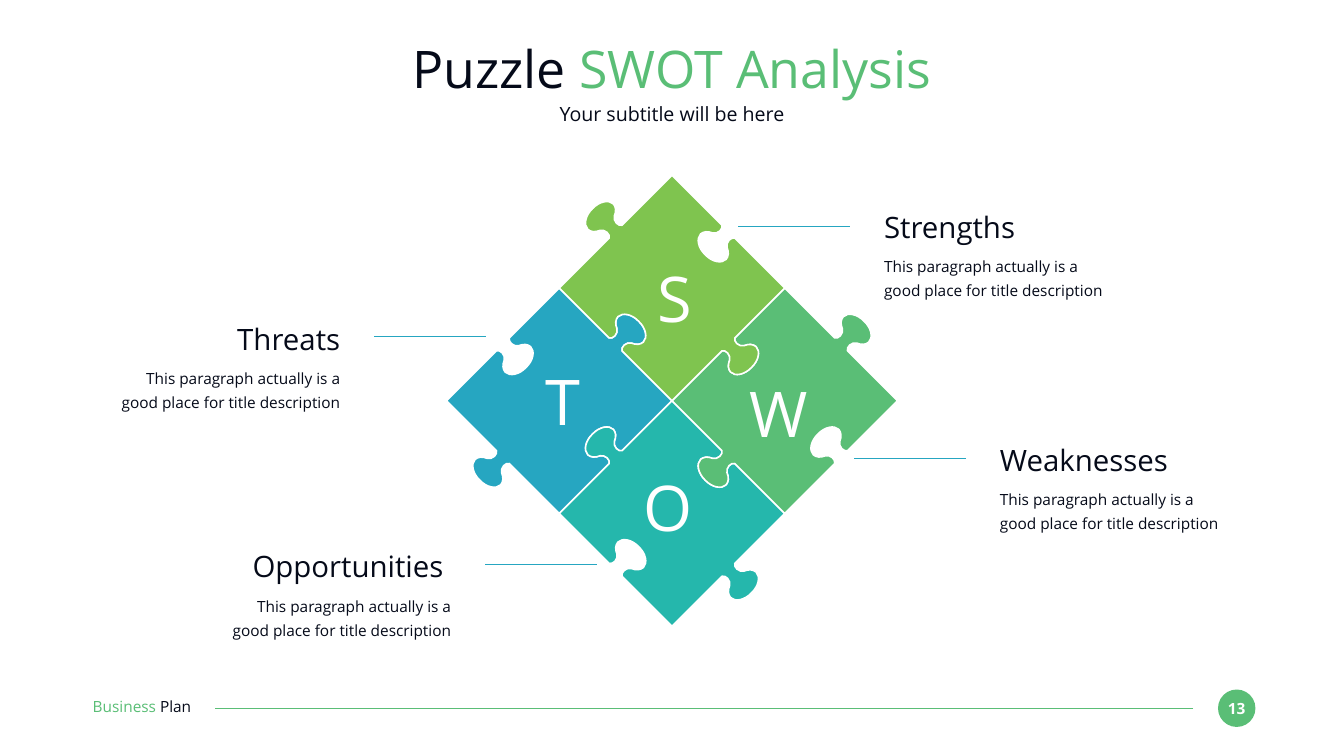
from dataclasses import dataclass

from lxml import etree
from pptx import Presentation
from pptx.dml.color import RGBColor
from pptx.enum.shapes import MSO_CONNECTOR, MSO_SHAPE
from pptx.enum.text import MSO_ANCHOR, PP_ALIGN
from pptx.oxml.ns import qn
from pptx.util import Pt

STRAIGHT = MSO_CONNECTOR.STRAIGHT
OVAL = MSO_SHAPE.OVAL
TOP, MIDDLE = MSO_ANCHOR.TOP, MSO_ANCHOR.MIDDLE
LEFT, CENTER, RIGHT = PP_ALIGN.LEFT, PP_ALIGN.CENTER, PP_ALIGN.RIGHT


@dataclass(frozen=True)
class Theme:
    font: str = "Open Sans"
    ink: str = "050A19"
    white: str = "FFFFFF"
    green: str = "5ABE76"
    lime: str = "7FC44F"
    teal: str = "25B7AC"
    blue: str = "26A6C1"
    title: int = 74
    sub: int = 28
    head: int = 42
    body: int = 22
    letter: int = 90


THEME = Theme()
BLURB = "This paragraph actually is a good place for title description"

# Half a tab as cubic points (along the edge, outward); the rest mirrors it.
HALF = [(-9.2, 0), (-7.7, 0.9), (-6.3, 3), (-6.6, 5.6), (-6.6, 8.5),
        (-8.4, 11), (-10.2, 12.1), (-15.3, 14.2), (-17.8, 17.5),
        (-18.2, 21.4), (-18.2, 27.9), (-9.9, 33.3), (0, 33)]
TAB = HALF + [(-u, v) for u, v in reversed(HALF[:-1])]
SIDES = [(0, -1), (-1, 0), (0, 1), (1, 0)]


def color(code):
    return RGBColor.from_string(code)


def fill_frame(frame, parts, size, align=LEFT, bold=False, space=None,
               anchor=TOP):
    """Write one paragraph from (text, colour) parts."""
    frame.margin_left = frame.margin_right = 0
    frame.margin_top = frame.margin_bottom = 0
    frame.word_wrap = True
    frame.vertical_anchor = anchor
    para = frame.paragraphs[0]
    para.alignment = align
    if space:
        para.line_spacing = space
    para.font.name = THEME.font
    para.font.size = Pt(size)
    para.font.bold = bold
    for text, code in parts:
        run = para.add_run()
        run.text = text
        if len(parts) > 1:
            run.font.color.rgb = color(code)
    if len(parts) == 1:
        para.font.color.rgb = color(parts[0][1])


def add_text(slide, box, parts, size, **style):
    shape = slide.shapes.add_textbox(*map(Pt, box))
    fill_frame(shape.text_frame, parts, size, **style)


def add_rule(slide, left, right, y, code):
    line = slide.shapes.add_connector(
        STRAIGHT, Pt(right), Pt(y), Pt(left), Pt(y))
    line.line.color.rgb = color(code)
    line.line.width = Pt(1.5)
    etree.SubElement(line._element.spPr, qn("a:effectLst"))


def bend_tabs(piece):
    """Join each three line steps of a tab into one cubic curve."""
    steps = list(piece._element.iter(qn("a:lnTo")))
    side = len(TAB) + 1
    for start in range(0, len(steps), side):
        for i in range(start + 1, start + len(TAB), 3):
            curve = etree.Element(qn("a:cubicBezTo"))
            steps[i].addprevious(curve)
            for step in steps[i:i + 3]:
                curve.append(step[0])
                step.getparent().remove(step)


def add_piece(slide, x, y, radius, code, sign):
    """Draw a diamond; sign 1 puts the first side's tab outward, -1 inward."""
    points = []
    for i, (ax, ay) in enumerate(SIDES):
        bx, by = SIDES[(i + 1) % 4]
        nx, ny = ax + bx, ay + by
        points.append((x + radius * ax, y + radius * ay))
        out = sign * (-1) ** i
        for u, v in TAB:
            reach = radius / 2 + out * v
            points.append((x + nx * reach + (bx - ax) * u,
                           y + ny * reach + (by - ay) * u))
    points = [(Pt(px), Pt(py)) for px, py in points]
    path = slide.shapes.build_freeform(*points[0])
    path.add_line_segments(points[1:], close=True)
    piece = path.convert_to_shape()
    bend_tabs(piece)
    piece.shadow.inherit = False
    piece.fill.solid()
    piece.fill.fore_color.rgb = color(code)
    piece.line.color.rgb = color(THEME.white)
    piece.line.width = Pt(2.25)


def add_puzzle(slide, left, top, size):
    radius = size / 4
    x, y = left + size / 2, top + size / 2
    pieces = [(-1, 0, THEME.blue, -1), (0, 1, THEME.teal, 1),
              (1, 0, THEME.green, -1), (0, -1, THEME.lime, 1)]
    for dx, dy, code, sign in pieces:
        add_piece(slide, x + dx * radius, y + dy * radius, radius, code, sign)
    letters = [("W", 399, 285), ("S", 251, 119.5),
               ("T", 90.5, 267.5), ("O", 241.5, 419)]
    for text, dx, dy in letters:
        add_text(slide, (left + dx, top + dy, 151, 109),
                 [(text, THEME.white)], THEME.letter, align=CENTER)


def add_note(slide, left, top, head, align):
    """Place a heading, its text and the rule towards the puzzle."""
    add_text(slide, (left, top, 327, 51), [(head, THEME.ink)],
             THEME.head, align=align)
    add_text(slide, (left, top + 61, 327, 66), [(BLURB, THEME.ink)],
             THEME.body, align=align, space=1.3)
    start, drop = (left + 375, 22.5) if align == RIGHT else (left - 209, 24)
    add_rule(slide, start, start + 160, top + drop, THEME.blue)


def add_header(slide, left, top, width):
    add_text(slide, (left, top, width, 91.5),
             [("Puzzle ", THEME.ink), ("SWOT Analysis", THEME.green)],
             THEME.title, align=CENTER)
    add_text(slide, (left, top + 93.5, width, 35),
             [("Your subtitle will be here", THEME.ink)],
             THEME.sub, align=CENTER)


def add_footer(slide, left, top, width):
    size = 53.5
    mid = top + size / 2
    disc = slide.shapes.add_shape(
        OVAL, Pt(left + width - size), Pt(top), Pt(size), Pt(size))
    disc.shadow.inherit = False
    disc.fill.solid()
    disc.fill.fore_color.rgb = color(THEME.green)
    disc.line.fill.background()
    fill_frame(disc.text_frame, [("13", THEME.white)], THEME.body,
               align=CENTER, bold=True, anchor=MIDDLE)
    add_rule(slide, left + 175, left + width - 89, mid, THEME.green)
    add_text(slide, (left, top + 11.5, 186.5, 26.5),
             [("Business ", THEME.green), ("Plan", THEME.ink)], THEME.body)


def main():
    deck = Presentation()
    deck.slide_width, deck.slide_height = Pt(1920), Pt(1080)
    slide = deck.slides.add_slide(deck.slide_layouts[6])
    add_footer(slide, 132.5, 985, 1661)
    add_header(slide, 132, 52.5, 1656)
    add_puzzle(slide, 638, 250.5, 644)
    notes = [(159, 458.5, "Threats", RIGHT),
             (317.5, 783.5, "Opportunities ", RIGHT),
             (1263, 299, "Strengths", LEFT),
             (1428.5, 631, "Weaknesses", LEFT)]
    for note in notes:
        add_note(slide, *note)
    deck.save("out.pptx")


if __name__ == "__main__":
    main()
